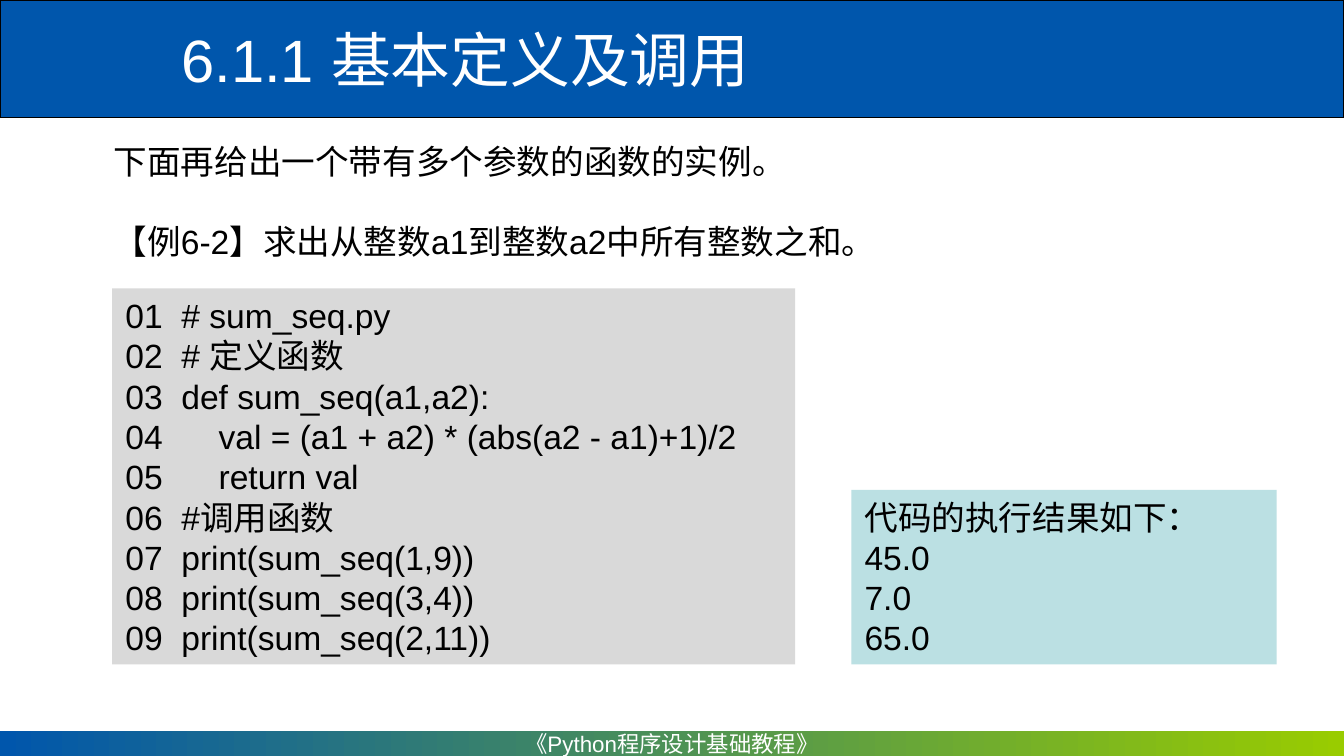
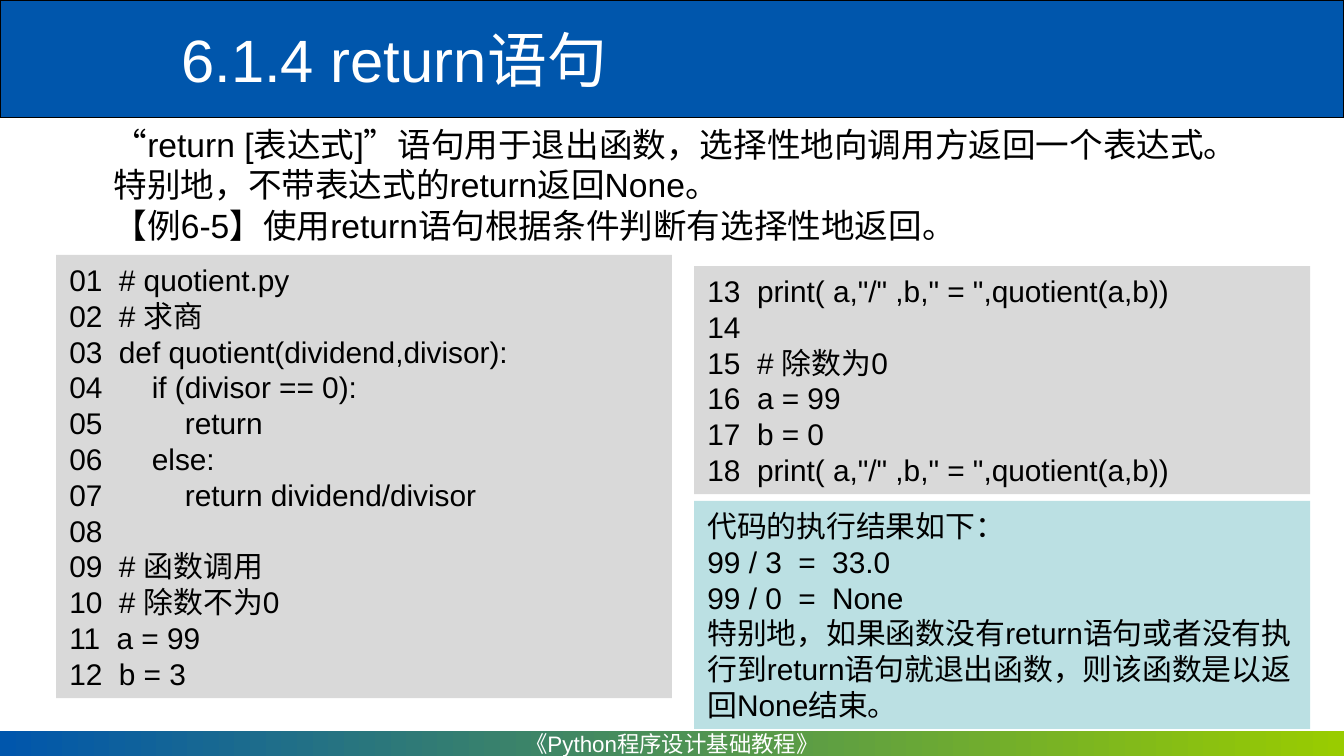
from pptx import Presentation
from pptx.dml.color import RGBColor
from pptx.enum.shapes import MSO_SHAPE as Preset
from pptx.enum.text import MSO_ANCHOR as Anchor, MSO_AUTO_SIZE as AutoSize, PP_ALIGN as Align
from pptx.util import Cm, Pt

BLUE = RGBColor(0x00, 0x56, 0xAC)
GREEN = RGBColor(0x99, 0xCC, 0x00)
CODE_GREY = RGBColor(0xD9, 0xD9, 0xD9)
RESULT_TEAL = RGBColor(0xBB, 0xE0, 0xE3)
BLACK = RGBColor(0x00, 0x00, 0x00)
WHITE = RGBColor(0xFF, 0xFF, 0xFF)

FONT = "Arial"
SLIDE_WIDTH, SLIDE_HEIGHT = 25.4, 14.29
HEADER = (0, 0, SLIDE_WIDTH, 2.22)
FOOTER = (0, 13.82, SLIDE_WIDTH, 0.47)
FOOTER_TEXT = "《Python程序设计基础教程》"
RESULT_HEADING = "代码的执行结果如下："


def add_rectangle(slide, box):
    shape = slide.shapes.add_shape(Preset.RECTANGLE, *map(Cm, box))
    shape.shadow.inherit = False
    shape.line.fill.background()
    return shape


def write_lines(shape, lines, size, color=BLACK, align=Align.LEFT, anchor=Anchor.TOP, gap=0):
    frame = shape.text_frame
    frame.word_wrap = True
    frame.vertical_anchor = anchor
    for index, line in enumerate(lines):
        paragraph = frame.add_paragraph() if index else frame.paragraphs[0]
        paragraph.alignment = align
        if index and gap:
            paragraph.space_before = Pt(gap)
        run = paragraph.add_run()
        run.text = line
        run.font.name = FONT
        run.font.size = Pt(size)
        run.font.color.rgb = color
    return frame


def add_header(slide, box, title):
    left, top, width, height = box
    band = add_rectangle(slide, box)
    band.fill.solid()
    band.fill.fore_color.rgb = BLUE
    band.line.color.rgb = BLACK
    band.line.width = Pt(0.75)
    indent, margin = 3.18, 0.16
    title_box = (left + indent, top + margin, width - indent, height - 2 * margin)
    text_box = slide.shapes.add_textbox(*map(Cm, title_box))
    write_lines(text_box, [title], 32, WHITE, anchor=Anchor.MIDDLE)


def add_footer(slide, box):
    band = add_rectangle(slide, box)
    band.fill.gradient()
    band.fill.gradient_angle = 0
    for stop, color, position in zip(band.fill.gradient_stops, (BLUE, GREEN), (0, 1)):
        stop.color.rgb = color
        stop.position = position
    frame = write_lines(band, [FOOTER_TEXT], 12, WHITE, Align.CENTER, Anchor.MIDDLE)
    frame.word_wrap = False


def add_intro(slide, box, lines, gap=0):
    text_box = slide.shapes.add_textbox(*map(Cm, box))
    frame = write_lines(text_box, lines, 18, gap=gap)
    frame.auto_size = AutoSize.SHAPE_TO_FIT_TEXT


def add_panel(slide, box, color, lines, size):
    panel = add_rectangle(slide, box)
    panel.fill.solid()
    panel.fill.fore_color.rgb = color
    frame = write_lines(panel, lines, size)
    frame.auto_size = AutoSize.SHAPE_TO_FIT_TEXT


def add_code(slide, box, code, size, first_number=1):
    numbered = [f"{number:02}  {line}".rstrip() for number, line in enumerate(code, first_number)]
    add_panel(slide, box, CODE_GREY, numbered, size)


def add_result(slide, box, lines, size):
    add_panel(slide, box, RESULT_TEAL, [RESULT_HEADING, *lines], size)


def add_lesson_slide(presentation, title):
    slide = presentation.slides.add_slide(presentation.slide_layouts[6])
    add_header(slide, HEADER, title)
    add_footer(slide, FOOTER)
    return slide


def build_definition_slide(presentation):
    slide = add_lesson_slide(presentation, "6.1.1 基本定义及调用")
    code = [
        "# sum_seq.py",
        "# 定义函数",
        "def sum_seq(a1,a2):",
        "    val = (a1 + a2) * (abs(a2 - a1)+1)/2",
        "    return val",
        "#调用函数",
        "print(sum_seq(1,9))",
        "print(sum_seq(3,4))",
        "print(sum_seq(2,11))",
    ]
    add_code(slide, (2.12, 5.45, 12.91, 7.11), code, 18)
    add_result(slide, (16.09, 9.26, 8.04, 3.3), ["45.0", "7.0", "65.0"], 18)
    intro = [
        "下面再给出一个带有多个参数的函数的实例。",
        "【例6-2】求出从整数a1到整数a2中所有整数之和。",
    ]
    add_intro(slide, (1.9, 2.54, 21.8, 2.54), intro, gap=21.5)


def build_return_slide(presentation):
    slide = add_lesson_slide(presentation, "6.1.4 return语句")
    intro = [
        "“return [表达式]”语句用于退出函数，选择性地向调用方返回一个表达式。"
        "特别地，不带表达式的return返回None。",
        "【例6-5】使用return语句根据条件判断有选择性地返回。",
    ]
    add_intro(slide, (1.9, 2.22, 22.01, 2.54), intro)

    print_quotient = 'print( a,"/" ,b," = ",quotient(a,b))'
    definition = [
        "# quotient.py",
        "# 求商",
        "def quotient(dividend,divisor):",
        "    if (divisor == 0):",
        "        return",
        "    else:",
        "        return dividend/divisor",
        "",
        "# 函数调用",
        "# 除数不为0",
        "a = 99",
        "b = 3",
    ]
    calls = [print_quotient, "", "# 除数为0", "a = 99", "b = 0", print_quotient]
    results = [
        "99 / 3  =  33.0",
        "99 / 0  =  None",
        "特别地，如果函数没有return语句或者没有执行到return语句就退出函数，则该函数是以返回None结束。",
    ]
    width, right_left, right_height = 11.64, 13.12, 4.31
    add_code(slide, (1.06, 4.82, width, 8.38), definition, 16)
    add_code(slide, (right_left, 5.03, width, right_height), calls, 16, len(definition) + 1)
    add_result(slide, (right_left, 9.47, width, right_height), results, 16)


def main():
    presentation = Presentation()
    presentation.slide_width = Cm(SLIDE_WIDTH)
    presentation.slide_height = Cm(SLIDE_HEIGHT)
    build_definition_slide(presentation)
    build_return_slide(presentation)
    presentation.save("out.pptx")


if __name__ == "__main__":
    main()
